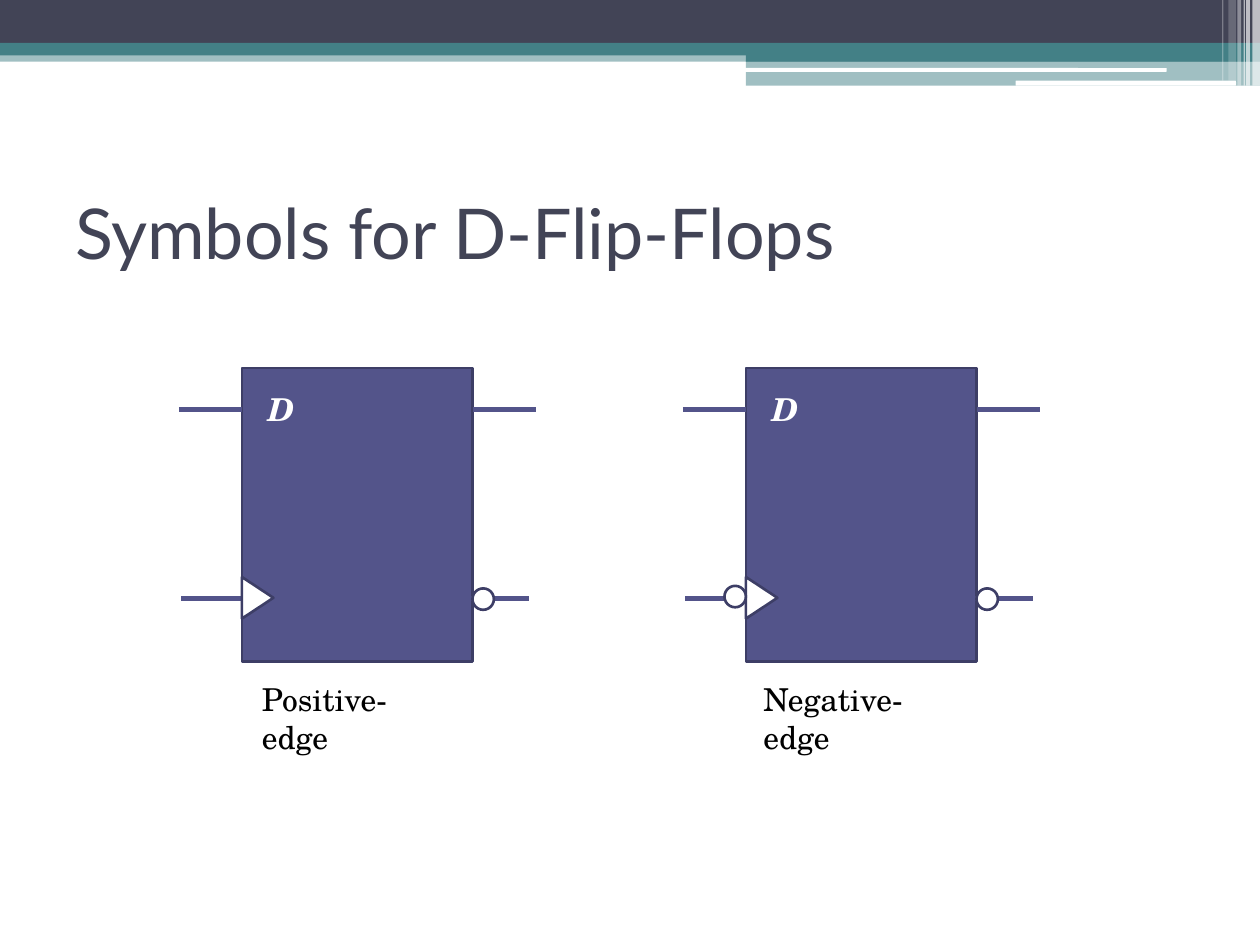
from dataclasses import dataclass
from typing import Optional

from lxml import etree
from pptx import Presentation
from pptx import util as u
from pptx.dml.color import RGBColor
from pptx.enum import shapes, text
from pptx.oxml.ns import qn

SHAPE = shapes.MSO_SHAPE


@dataclass(frozen=True)
class Theme:
    dark: str = "424456"
    teal: str = "438086"
    white: str = "FFFFFF"
    black: str = "000000"
    body: str = "53548A"
    outline: str = "3D3E66"
    title_font: str = "Lato"
    label_font: str = "TeX Gyre Schola"
    title_size: int = 40
    label_size: int = 18
    outline_width: float = 1.5
    wire_width: float = 3


@dataclass(frozen=True)
class Band:
    left: float
    top: float
    width: float
    height: float
    color: str
    alpha: Optional[int] = None
    rounded: bool = False


@dataclass(frozen=True)
class FlipFlop:
    left: float
    caption: str
    caption_left: float
    caption_width: float
    inverted_clock: bool = False


T = Theme()

HEADER = [
    Band(0, 0.4, 10, 0.09, T.teal, 50),
    Band(0, 0, 10, 0.34, T.dark),
    Band(0, 0.34, 10, 0.1, T.teal),
    Band(5.92, 0.39, 4.08, 0.1, T.teal),
    Band(5.92, 0.48, 4.08, 0.2, T.teal, 50),
    Band(5.91, 0.54, 3.35, 0.03, T.white, rounded=True),
    Band(8.06, 0.64, 1.75, 0.04, T.white, rounded=True),
] + [
    Band(left, 0, width, height, T.white, alpha)
    for left, width, height, alpha in [
        (9.94, 0.06, 0.68, 65),
        (9.89, 0.03, 0.68, 65),
        (9.87, 0.01, 0.68, 60),
        (9.82, 0.03, 0.68, 40),
        (9.75, 0.06, 0.64, 20),
        (9.7, 0.01, 0.64, 30),
    ]
]

FLIP_FLOPS = [
    FlipFlop(1.92, "Positive-edge", 1.98, 1.7),
    FlipFlop(5.92, "Negative-edge", 5.96, 1.8, inverted_clock=True),
]

BODY_TOP, BODY_WIDTH, BODY_HEIGHT = 2.92, 1.83, 2.33
DATA_Y, CLOCK_Y = 3.25, 4.75
WIRE, BUBBLE = 0.5, 0.17


def add_filled(s, kind, left: float, top: float, width: float, height: float,
               color: str, alpha: Optional[int] = None,
               outline: Optional[str] = None):
    """Add a preset shape; alpha is its opacity in percent."""
    sp = s.shapes.add_shape(kind, u.Inches(left), u.Inches(top),
                            u.Inches(width), u.Inches(height))
    sp.shadow.inherit = False
    sp.fill.solid()
    sp.fill.fore_color.rgb = RGBColor.from_string(color)
    if alpha is not None:
        clr = sp.fill._xPr.find(qn("a:solidFill"))[0]
        etree.SubElement(clr, qn("a:alpha"), val=str(alpha * 1000))
    if outline:
        sp.line.color.rgb = RGBColor.from_string(outline)
        sp.line.width = u.Pt(T.outline_width)
    else:
        sp.line.fill.background()
    return sp


def add_text(s, words: str, left: float, top: float, width: float,
             height: float, *, size: int = T.label_size,
             font: str = T.label_font, color: str = T.black,
             bold: bool = False, italic: bool = False, wrap: bool = True,
             anchor=text.MSO_ANCHOR.TOP) -> None:
    tf = s.shapes.add_textbox(u.Inches(left), u.Inches(top), u.Inches(width),
                              u.Inches(height)).text_frame
    tf.word_wrap = wrap
    tf.vertical_anchor = anchor
    r = tf.paragraphs[0].add_run()
    r.text = words
    r.font.name, r.font.size = font, u.Pt(size)
    r.font.bold, r.font.italic = bold, italic
    r.font.color.rgb = RGBColor.from_string(color)


def add_wire(s, left: float, y: float) -> None:
    line = s.shapes.add_connector(
        shapes.MSO_CONNECTOR.STRAIGHT, u.Inches(left), u.Inches(y),
        u.Inches(left + WIRE), u.Inches(y))
    line.line.color.rgb = RGBColor.from_string(T.body)
    line.line.width = u.Pt(T.wire_width)
    etree.SubElement(line._element.spPr, qn("a:effectLst"))


def add_bubble(s, left: float, top: float) -> None:
    """Add the small circle that marks an inverted pin."""
    add_filled(s, SHAPE.OVAL, left, top, BUBBLE, BUBBLE, T.white,
               outline=T.outline)


def add_header(s) -> None:
    for b in HEADER:
        kind = SHAPE.ROUNDED_RECTANGLE if b.rounded else SHAPE.RECTANGLE
        add_filled(s, kind, b.left, b.top, b.width, b.height, b.color, b.alpha)


def add_flip_flop(s, ff: FlipFlop) -> None:
    left, right = ff.left, ff.left + BODY_WIDTH
    add_filled(s, SHAPE.RECTANGLE, left, BODY_TOP, BODY_WIDTH, BODY_HEIGHT,
               T.body, outline=T.outline)
    add_wire(s, left - WIRE, DATA_Y)
    add_wire(s, left - WIRE + 0.02, CLOCK_Y)
    clock = add_filled(s, SHAPE.ISOSCELES_TRIANGLE, left - 0.04, 4.62, 0.33,
                       0.25, T.white, outline=T.outline)
    clock.rotation = 90
    add_wire(s, right, DATA_Y)
    add_wire(s, right - 0.05, CLOCK_Y)
    add_bubble(s, right, 4.67)
    add_text(s, "D", left + 0.11, 3.05, 0.41, 0.4, color=T.white, bold=True,
             italic=True, wrap=False)
    if ff.inverted_clock:
        add_bubble(s, left - BUBBLE, 4.65)
    add_text(s, ff.caption, ff.caption_left, 5.35, ff.caption_width, 0.4)


def main() -> None:
    prs = Presentation()
    prs.slide_width, prs.slide_height = u.Inches(10), u.Inches(7.5)
    s = prs.slides.add_slide(prs.slide_layouts[6])
    add_header(s)
    add_text(s, "Symbols for D-Flip-Flops", 0.5, 1.25, 9, 1.17,
             size=T.title_size, font=T.title_font, color=T.dark,
             anchor=text.MSO_ANCHOR.MIDDLE)
    for ff in FLIP_FLOPS:
        add_flip_flop(s, ff)
    prs.save("out.pptx")


if __name__ == "__main__":
    main()
